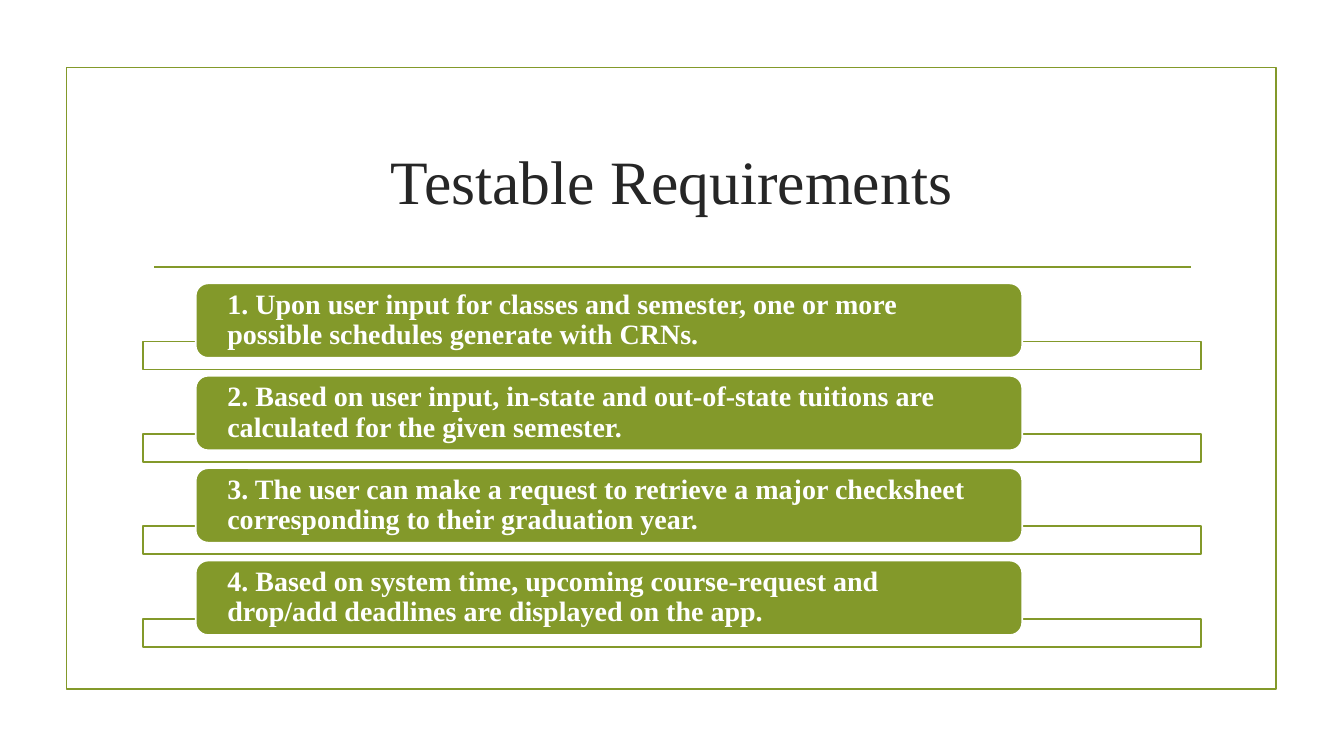
from dataclasses import dataclass

from lxml.etree import SubElement
from pptx import Presentation
from pptx.dml.color import RGBColor
from pptx.enum.shapes import MSO_CONNECTOR, MSO_SHAPE
from pptx.enum.text import MSO_ANCHOR, PP_ALIGN
from pptx.oxml.ns import qn
from pptx.shapes.autoshape import Shape
from pptx.slide import Slide
from pptx.util import Pt


@dataclass(frozen=True)
class Theme:
    green: RGBColor = RGBColor(0x83, 0x99, 0x2A)
    white: RGBColor = RGBColor(0xFF, 0xFF, 0xFF)
    ink: RGBColor = RGBColor(0x26, 0x26, 0x26)
    font: str = "Times New Roman"
    title_size: float = 44
    item_size: float = 20
    line_width: float = 1.25


@dataclass(frozen=True)
class Area:
    left: float
    top: float
    width: float
    height: float

    def lengths(self) -> tuple[Pt, Pt, Pt, Pt]:
        return Pt(self.left), Pt(self.top), Pt(self.width), Pt(self.height)


@dataclass(frozen=True)
class Requirement:
    number: int
    text: str


THEME = Theme()
FRAME = Area(47.5, 48.2, 864, 444.2)
TITLE = Area(102, 77, 756, 103)
RULE = Area(110.2, 190.8, 740.2, 0)
FIRST_BAR = Area(102, 244, 756, 20)
FIRST_CARD = Area(139.8, 202.4, 590.4, 53.2)
ROW_PITCH = 66
BAR_OPACITY = 90

REQUIREMENTS = [
    Requirement(1, "Upon user input for classes and semester, one or more possible schedules generate with CRNs."),
    Requirement(2, "Based on user input, in-state and out-of-state tuitions are calculated for the given semester."),
    Requirement(3, "The user can make a request to retrieve a major checksheet corresponding to their graduation year."),
    Requirement(4, "Based on system time, upcoming course-request and drop/add deadlines are displayed on the app."),
]


def add_block(page: Slide, kind: MSO_SHAPE, area: Area, fill: RGBColor | None, line: RGBColor) -> Shape:
    block = page.shapes.add_shape(kind, *area.lengths())
    block.shadow.inherit = False
    if fill is None:
        block.fill.background()
    else:
        block.fill.solid()
        block.fill.fore_color.rgb = fill
    block.line.color.rgb = line
    block.line.width = Pt(THEME.line_width)
    return block


def set_opacity(block: Shape, percent: int) -> None:
    color = block.fill._xPr.find(qn("a:solidFill")).find(qn("a:srgbClr"))
    SubElement(color, qn("a:alpha")).set("val", str(percent * 1000))


def write_text(box: Shape, text: str, frame_format: dict, para_format: dict, font_format: dict, color: RGBColor) -> None:
    para = box.text_frame.paragraphs[0]
    span = para.add_run()
    span.text = text
    span.font.color.rgb = color
    frame_format = {"word_wrap": True, "vertical_anchor": MSO_ANCHOR.MIDDLE, **frame_format}
    font_format = {"name": THEME.font, **font_format}
    for target, values in ((box.text_frame, frame_format), (para, para_format), (span.font, font_format)):
        for name, value in values.items():
            setattr(target, name, value)


def add_title(page: Slide, text: str) -> None:
    box = page.shapes.add_textbox(*TITLE.lengths())
    write_text(box, text, {}, {"alignment": PP_ALIGN.CENTER}, {"size": Pt(THEME.title_size)}, THEME.ink)


def add_rule(page: Slide) -> None:
    left, top, width, _ = RULE.lengths()
    rule = page.shapes.add_connector(MSO_CONNECTOR.STRAIGHT, left, top, left + width, top)
    rule.line.color.rgb = THEME.green
    rule.line.width = Pt(THEME.line_width)
    SubElement(rule._element.spPr, qn("a:effectLst"))


def add_requirement(page: Slide, requirement: Requirement) -> None:
    offset = (requirement.number - 1) * ROW_PITCH
    bar_area, card_area = (
        Area(first.left, first.top + offset, first.width, first.height) for first in (FIRST_BAR, FIRST_CARD)
    )
    bar = add_block(page, MSO_SHAPE.RECTANGLE, bar_area, THEME.white, THEME.green)
    set_opacity(bar, BAR_OPACITY)
    card = add_block(page, MSO_SHAPE.ROUNDED_RECTANGLE, card_area, THEME.green, THEME.white)
    write_text(
        card,
        f"{requirement.number}. {requirement.text}",
        {"margin_left": Pt(20), "margin_right": Pt(20), "margin_top": 0, "margin_bottom": 0},
        {"alignment": PP_ALIGN.LEFT, "line_spacing": 0.9},
        {"size": Pt(THEME.item_size), "bold": True},
        THEME.white,
    )


def main() -> None:
    deck = Presentation()
    deck.slide_width, deck.slide_height = Pt(960), Pt(540)
    page = deck.slides.add_slide(deck.slide_layouts[6])

    # Frame and heading
    add_block(page, MSO_SHAPE.RECTANGLE, FRAME, None, THEME.green)
    add_rule(page)
    add_title(page, "Testable Requirements")

    # Requirement rows
    for requirement in REQUIREMENTS:
        add_requirement(page, requirement)

    deck.save("out.pptx")


if __name__ == "__main__":
    main()
